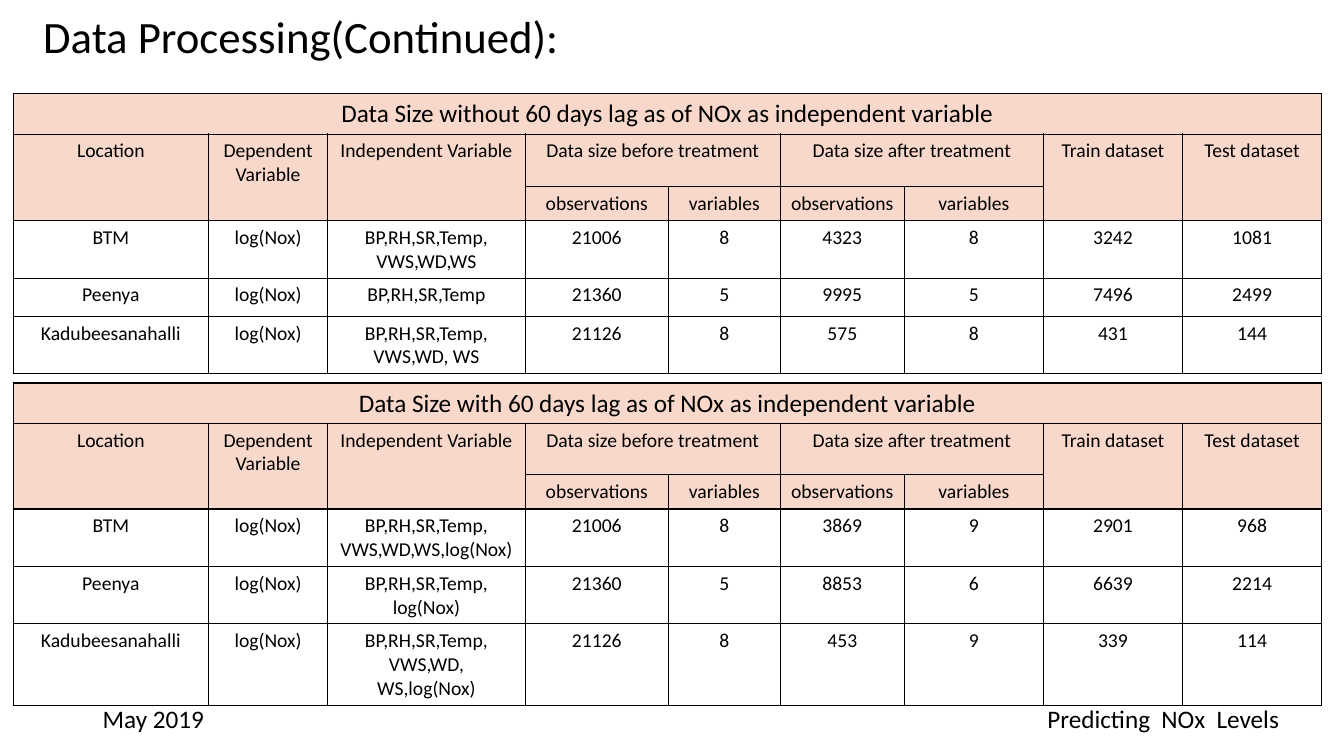
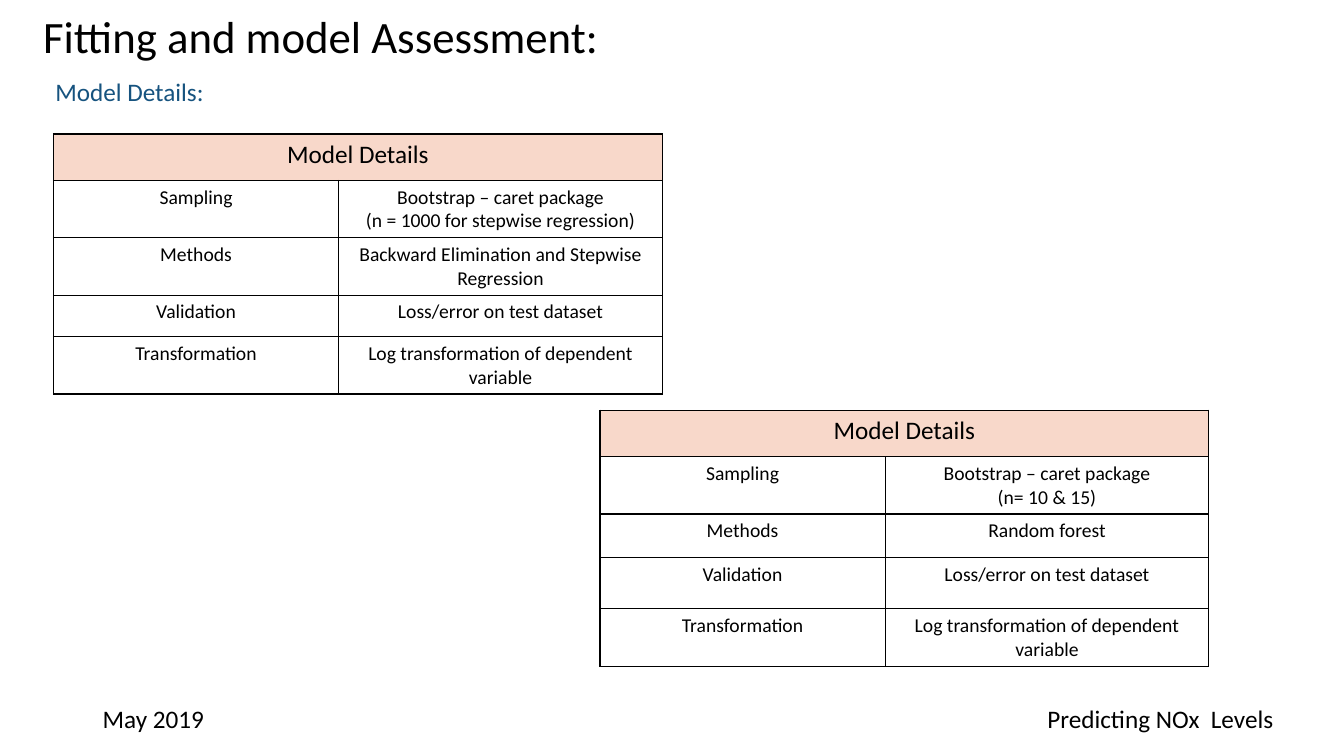
import dataclasses

import pptx
import pptx.dml.color
import pptx.enum.text
import pptx.oxml
import pptx.oxml.ns
import pptx.util
from pptx.util import Inches

ALIGN = pptx.enum.text.PP_ALIGN
ANCHOR = pptx.enum.text.MSO_ANCHOR


@dataclasses.dataclass(frozen=True)
class Theme:
    font: str = "Calibri"
    ink: str = "000000"
    accent: str = "16537F"
    head: str = "F8D8CA"
    title: int = 32
    large: int = 18
    body: int = 14
    border: int = 1


THEME = Theme()

SIZE_COLS = [1.94, 1.18, 1.96, 1.42, 1.11, 1.23, 1.38, 1.38, 1.38]
SIZE_HEAD = [
    ["Location", "Dependent Variable", "Independent Variable",
     "Data size before treatment", "", "Data size after treatment", "",
     "Train dataset", "Test dataset"],
    ["", "", "", *["observations", "variables"] * 2, "", ""],
]
# First and last cell of each merged block, as (row, column)
SIZE_SPANS = [((1, col), (2, col)) for col in (0, 1, 2, 7, 8)]
SIZE_SPANS += [((1, col), (1, col + 1)) for col in (3, 5)]

NO_LAG = [
    ["BTM", "log(Nox)", "BP,RH,SR,Temp,\nVWS,WD,WS",
     "21006", "8", "4323", "8", "3242", "1081"],
    ["Peenya", "log(Nox)", "BP,RH,SR,Temp",
     "21360", "5", "9995", "5", "7496", "2499"],
    ["Kadubeesanahalli", "log(Nox)", "BP,RH,SR,Temp,\nVWS,WD, WS",
     "21126", "8", "575", "8", "431", "144"],
]
WITH_LAG = [
    ["BTM", "log(Nox)", "BP,RH,SR,Temp,\nVWS,WD,WS,log(Nox)",
     "21006", "8", "3869", "9", "2901", "968"],
    ["Peenya", "log(Nox)", "BP,RH,SR,Temp,\nlog(Nox)",
     "21360", "5", "8853", "6", "6639", "2214"],
    ["Kadubeesanahalli", "log(Nox)", "BP,RH,SR,Temp,\nVWS,WD, WS,log(Nox)",
     "21126", "8", "453", "9", "339", "114"],
]


def style(frame, size, color=THEME.ink, align=ALIGN.LEFT):
    for para in frame.paragraphs:
        para.alignment = align
        para.font.name = THEME.font
        para.font.size = pptx.util.Pt(size)
        para.font.color.rgb = pptx.dml.color.RGBColor.from_string(color)


def add_text(slide, text, box, size=THEME.large, color=THEME.ink):
    frame = slide.shapes.add_textbox(*map(Inches, box)).text_frame
    frame.word_wrap = True
    frame.text = text
    style(frame, size, color)
    return frame


def add_page(deck, title, topic):
    """Add a slide with the shared title and footers."""
    slide = deck.slides.add_slide(deck.slide_layouts[6])
    frame = add_text(slide, title, (0.33, 0.08, 8.64, 0.62), THEME.title)
    frame.vertical_anchor = ANCHOR.MIDDLE
    frame.paragraphs[0].line_spacing = 0.9
    add_text(slide, "May 2019", (0.92, 6.93, 3, 0.4))
    add_text(slide, topic, (10.29, 6.93, 2.83, 0.4))
    return slide


def add_border(cell):
    props = cell._tc.get_or_add_tcPr()
    width = pptx.util.Pt(THEME.border)
    for side in ("lnL", "lnR", "lnT", "lnB"):
        props.append(pptx.oxml.parse_xml(
            f'<a:{side} {pptx.oxml.ns.nsdecls("a")} w="{width}"><a:solidFill>'
            f'<a:srgbClr val="{THEME.ink}"/></a:solidFill></a:{side}>'))


def fill_cell(cell, text, size, shaded):
    cell.text = text
    style(cell.text_frame, size, align=ALIGN.CENTER)
    add_border(cell)
    if shaded:
        cell.fill.solid()
        cell.fill.fore_color.rgb = pptx.dml.color.RGBColor.from_string(THEME.head)
    else:
        cell.fill.background()


def add_grid(slide, spot, cols, heights, title, rows, heads=1, spans=()):
    """Add a table with a full-width title row; the first `heads` rows are shaded."""
    rows = [[title] + [""] * (len(cols) - 1), *rows]
    size = sum(cols), sum(heights)
    frame = slide.shapes.add_table(len(rows), len(cols), *map(Inches, spot + size))
    table = frame.table
    table.first_row = table.horz_banding = False
    for col, width in zip(table.columns, cols):
        col.width = Inches(width)
    for row, height in zip(table.rows, heights):
        row.height = Inches(height)
    for r, texts in enumerate(rows):
        for c, text in enumerate(texts):
            fill_cell(table.cell(r, c), text,
                      THEME.body if r else THEME.large, r < heads)
    for first, last in [((0, 0), (0, len(cols) - 1)), *spans]:
        table.cell(*first).merge(table.cell(*last))


def add_sizes(slide, top, heights, lag, rows):
    add_grid(slide, (0.13, top), SIZE_COLS, heights,
             f"Data Size {lag} 60 days lag as of NOx as independent variable",
             SIZE_HEAD + rows, 3, SIZE_SPANS)


def add_model(slide, spot, heights, count, method):
    add_grid(slide, spot, [2.83, 3.21], heights, "Model Details", [
        ["Sampling", f"Bootstrap – caret package\n{count}"],
        ["Methods", method],
        ["Validation", "Loss/error on test dataset"],
        ["Transformation", "Log transformation of dependent variable"],
    ])


def main():
    deck = pptx.Presentation()
    deck.slide_width, deck.slide_height = Inches(13.33), Inches(7.5)

    data = add_page(deck, "Data Processing(Continued):", "Predicting  NOx  Levels")
    add_sizes(data, 0.93, [0.4, 0.52, 0.34, 0.57, 0.38, 0.57], "without", NO_LAG)
    add_sizes(data, 3.8, [0.4, 0.51, 0.34, 0.57, 0.57, 0.81], "with", WITH_LAG)

    model = add_page(deck, "Fitting and model Assessment:", "Predicting NOx  Levels")
    add_text(model, "Model Details:", (0.45, 0.71, 3.63, 0.4), color=THEME.accent)
    add_model(model, (0.53, 1.33), [0.46, 0.57, 0.57, 0.41, 0.57],
              "(n = 1000 for stepwise regression)",
              "Backward Elimination and Stepwise Regression")
    add_model(model, (5.95, 4.07), [0.46, 0.57, 0.43, 0.51, 0.57],
              "(n= 10 & 15)", "Random forest")

    deck.save("out.pptx")


if __name__ == "__main__":
    main()
